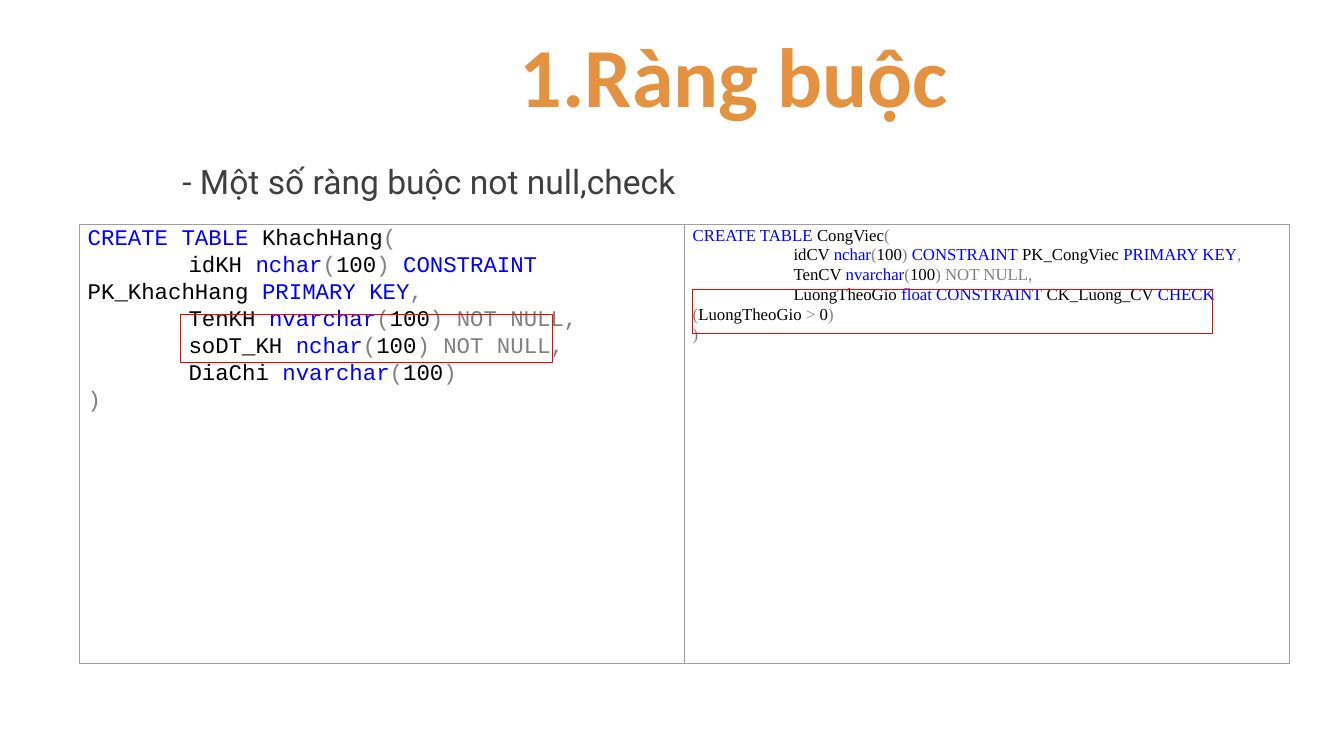
import pptx
import pptx.dml.color
import pptx.enum.shapes
import pptx.enum.text
import pptx.oxml.ns
import pptx.util
from lxml import etree

Inches = pptx.util.Inches
Pt = pptx.util.Pt
RGBColor = pptx.dml.color.RGBColor

ORANGE = RGBColor(0xE4, 0x91, 0x40)
CHARCOAL = RGBColor(0x3F, 0x3F, 0x3F)
BLUE = RGBColor(0x00, 0x00, 0xFF)
BLACK = RGBColor(0x00, 0x00, 0x00)
GRAY = RGBColor(0x80, 0x80, 0x80)
RED = RGBColor(0xFF, 0x00, 0x00)
WHITE = RGBColor(0xFF, 0xFF, 0xFF)
BORDER = RGBColor(0x9E, 0x9E, 0x9E)

TITLE = "1.Ràng buộc"
SUBTITLE = "- Một số ràng buộc not null,check"


def sized(kind):
    return [(kind, BLUE), ("(", GRAY), ("100", BLACK)]


def key_column(name, constraint):
    return [(f"\t{name} ", BLACK), *sized("nchar"), (") ", GRAY),
            ("CONSTRAINT ", BLUE), (f"{constraint} ", BLACK),
            ("PRIMARY KEY", BLUE), (",", GRAY)]


def column(name, kind, ending):
    return [(f"\t{name} ", BLACK), *sized(kind), (ending, GRAY)]


def create_table(name):
    return [("CREATE TABLE ", BLUE), (name, BLACK), ("(", GRAY)]


CUSTOMER_CODE = [
    create_table("KhachHang"),
    key_column("idKH", "PK_KhachHang"),
    column("TenKH", "nvarchar", ") NOT NULL,"),
    column("soDT_KH", "nchar", ") NOT NULL,"),
    column("DiaChi", "nvarchar", ")"),
    [(")", GRAY)],
]
JOB_CODE = [
    create_table("CongViec"),
    key_column("idCV", "PK_CongViec"),
    column("TenCV", "nvarchar", ") NOT NULL,"),
    [("\tLuongTheoGio ", BLACK), ("float CONSTRAINT ", BLUE),
     ("CK_Luong_CV ", BLACK), ("CHECK ", BLUE), ("(", GRAY),
     ("LuongTheoGio ", BLACK), (">", GRAY), (" 0", BLACK), (")", GRAY)],
    [(")", GRAY)],
]
CODE_CELLS = [
    (CUSTOMER_CODE, "Courier New", 16),
    (JOB_CODE, "Times New Roman", 12),
]
HIGHLIGHTS = [(1.79, 3.12, 3.69, 0.48), (6.87, 2.87, 5.16, 0.44)]


def add_tab_stop(para, distance):
    stops = etree.SubElement(para._p.get_or_add_pPr(),
                             pptx.oxml.ns.qn("a:tabLst"))
    etree.SubElement(stops, pptx.oxml.ns.qn("a:tab"),
                     pos=str(Inches(distance)), algn="l")


def write_text(frame, lines, font, size, bold=False, align=None,
               spacing=None, tab=None):
    for index, line in enumerate(lines):
        para = frame.add_paragraph() if index else frame.paragraphs[0]
        if tab:
            add_tab_stop(para, tab)
        para.alignment = align
        para.line_spacing = spacing
        for text, color in line:
            span = para.add_run()
            span.text = text
            span.font.name = font
            span.font.size = Pt(size)
            span.font.bold = bold
            span.font.color.rgb = color


def add_text_box(page, place, lines, **style):
    box = page.shapes.add_textbox(*map(Inches, place))
    box.text_frame.word_wrap = True
    write_text(box.text_frame, lines, **style)
    return box


def set_borders(cell):
    properties = cell._tc.get_or_add_tcPr()
    for position, side in enumerate(("lnL", "lnR", "lnT", "lnB")):
        line = etree.Element(pptx.oxml.ns.qn(f"a:{side}"), w=str(Pt(0.75)))
        fill = etree.SubElement(line, pptx.oxml.ns.qn("a:solidFill"))
        etree.SubElement(fill, pptx.oxml.ns.qn("a:srgbClr"), val=str(BORDER))
        properties.insert(position, line)


def add_code_table(page):
    place = map(Inches, (0.79, 2.23, 12, 4.35))
    table = page.shapes.add_table(1, len(CODE_CELLS), *place).table
    table.first_row = False
    table.horz_banding = False
    for cell, (lines, font, size) in zip(table.iter_cells(), CODE_CELLS):
        cell.margin_left = cell.margin_right = Inches(0.08)
        cell.margin_top = cell.margin_bottom = 0
        cell.fill.background()
        set_borders(cell)
        write_text(cell.text_frame, lines, font, size, spacing=1.07, tab=1)


def add_highlight(page, place):
    box = page.shapes.add_shape(
        pptx.enum.shapes.MSO_SHAPE.RECTANGLE, *map(Inches, place))
    box.shadow.inherit = False
    box.fill.background()
    box.line.color.rgb = RED
    box.line.width = Pt(0.75)
    box._element.remove(box._element.find(pptx.oxml.ns.qn("p:style")))


def main():
    deck = pptx.Presentation()
    deck.slide_width = Inches(13.33)
    deck.slide_height = Inches(7.5)
    page = deck.slides.add_slide(deck.slide_layouts[6])
    title = add_text_box(page, (1.71, 0.3, 11.14, 1.25), [[(TITLE, ORANGE)]],
                         font="Calibri", size=60, bold=True, spacing=0.9,
                         align=pptx.enum.text.PP_ALIGN.CENTER)
    title.fill.solid()
    title.fill.fore_color.rgb = WHITE
    add_text_box(page, (1.71, 1.55, 10.05, 0.5), [[(SUBTITLE, CHARCOAL)]],
                 font="Roboto", size=24)
    add_code_table(page)
    for place in HIGHLIGHTS:
        add_highlight(page, place)
    deck.save("out.pptx")


if __name__ == "__main__":
    main()
